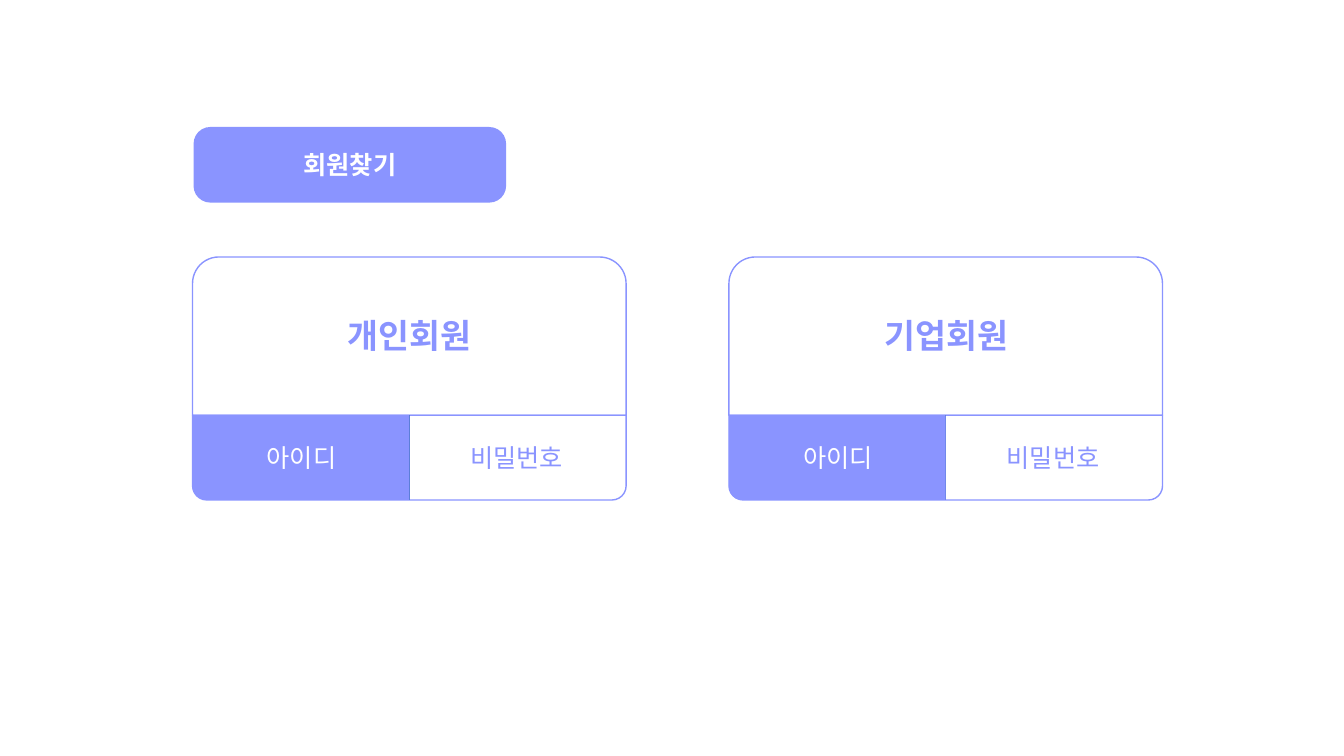
import pptx
import pptx.util
import pptx.dml.color
import pptx.enum.shapes
import pptx.enum.text
import pptx.oxml.ns
from lxml import etree

Inches, Pt = pptx.util.Inches, pptx.util.Pt
RGBColor = pptx.dml.color.RGBColor
SHAPE = pptx.enum.shapes.MSO_SHAPE
qn = pptx.oxml.ns.qn

TITLE = "회원찾기"
CARDS = ["개인회원", "기업회원"]
ID_LABEL, PASSWORD_LABEL = "아이디", "비밀번호"

FONT = "Noto Sans CJK KR"
PERIWINKLE = RGBColor(0x8A, 0x94, 0xFF)
WHITE = RGBColor(0xFF, 0xFF, 0xFF)
DIVIDER = RGBColor(0x44, 0x72, 0xC4)

LEFT, CARD_STEP, CARD_W = 1.91, 5.32, 4.3
CARD_TOP, HEAD_H, FOOT_H = 2.55, 1.57, 0.84
FOOT_TOP = CARD_TOP + HEAD_H
HALF_W = CARD_W / 2
BUTTON = (1.92, 1.26, 3.1, 0.75)


def inches(box):
    return [Inches(v) for v in box]


def write(shape, text, size, color, bold=False):
    tf = shape.text_frame
    tf.word_wrap = True
    tf.text = text
    p = tf.paragraphs[0]
    p.alignment = pptx.enum.text.PP_ALIGN.CENTER
    for font in (p.font, p.runs[0].font):
        font.name = FONT
        font.size = Pt(size)
        font.bold = bold
        font.color.rgb = color
    for rpr in p._p.iter(qn("a:rPr"), qn("a:defRPr")):
        ea = etree.Element(qn("a:ea"), typeface=FONT)
        rpr.find(qn("a:latin")).addnext(ea)


def add_label(s, text, box, size, color, bold=False):
    write(s.shapes.add_textbox(*inches(box)), text, size, color, bold)


def add_panel(s, kind, box, filled, rotation=0):
    sp = s.shapes.add_shape(kind, *inches(box))
    sp.shadow.inherit = False
    sp.rotation = rotation
    if filled:
        sp.fill.solid()
        sp.fill.fore_color.rgb = PERIWINKLE
        sp.line.fill.background()
    else:
        sp.fill.background()
        sp.line.color.rgb = PERIWINKLE
        sp.line.width = Pt(1)
    return sp


def add_divider(s, x):
    line = s.shapes.add_connector(
        pptx.enum.shapes.MSO_CONNECTOR.STRAIGHT,
        *inches((x, FOOT_TOP, x, FOOT_TOP + FOOT_H)))
    line.line.color.rgb = DIVIDER
    line.line.width = Pt(0.5)
    etree.SubElement(line._element.spPr, qn("a:effectLst"))


def add_title(s):
    button = add_panel(s, SHAPE.ROUNDED_RECTANGLE, BUTTON, True)
    button.adjustments[0] = 0.222
    title = s.shapes.title
    title.left, title.top, title.width, title.height = inches(BUTTON)
    write(title, TITLE, 18, WHITE, True)
    title.text_frame.auto_size = pptx.enum.text.MSO_AUTO_SIZE.NONE
    title.text_frame.vertical_anchor = pptx.enum.text.MSO_ANCHOR.MIDDLE
    title._element.addprevious(button._element)


def add_card(s, name, x):
    add_panel(s, SHAPE.ROUND_2_SAME_RECTANGLE, (x, CARD_TOP, CARD_W, HEAD_H), False)
    add_panel(s, SHAPE.ROUND_2_SAME_RECTANGLE, (x, FOOT_TOP, CARD_W, FOOT_H), False, 180)
    add_label(s, name, (x + 1.02, 3.08, 2.27, 0.5), 24, PERIWINKLE, True)
    add_divider(s, x + HALF_W)
    add_panel(s, SHAPE.ROUND_1_RECTANGLE, (x, FOOT_TOP, HALF_W, FOOT_H), True, 180)
    add_label(s, ID_LABEL, (x + 0.49, 4.34, 1.18, 0.4), 18, WHITE)
    add_label(s, PASSWORD_LABEL, (x + 2.61, 4.34, 1.21, 0.4), 18, PERIWINKLE)


def main():
    prs = pptx.Presentation()
    prs.slide_width, prs.slide_height = Inches(13.33), Inches(7.5)
    s = prs.slides.add_slide(prs.slide_layouts[5])
    add_title(s)
    for i, name in enumerate(CARDS):
        add_card(s, name, LEFT + i * CARD_STEP)
    prs.save("out.pptx")


if __name__ == "__main__":
    main()
